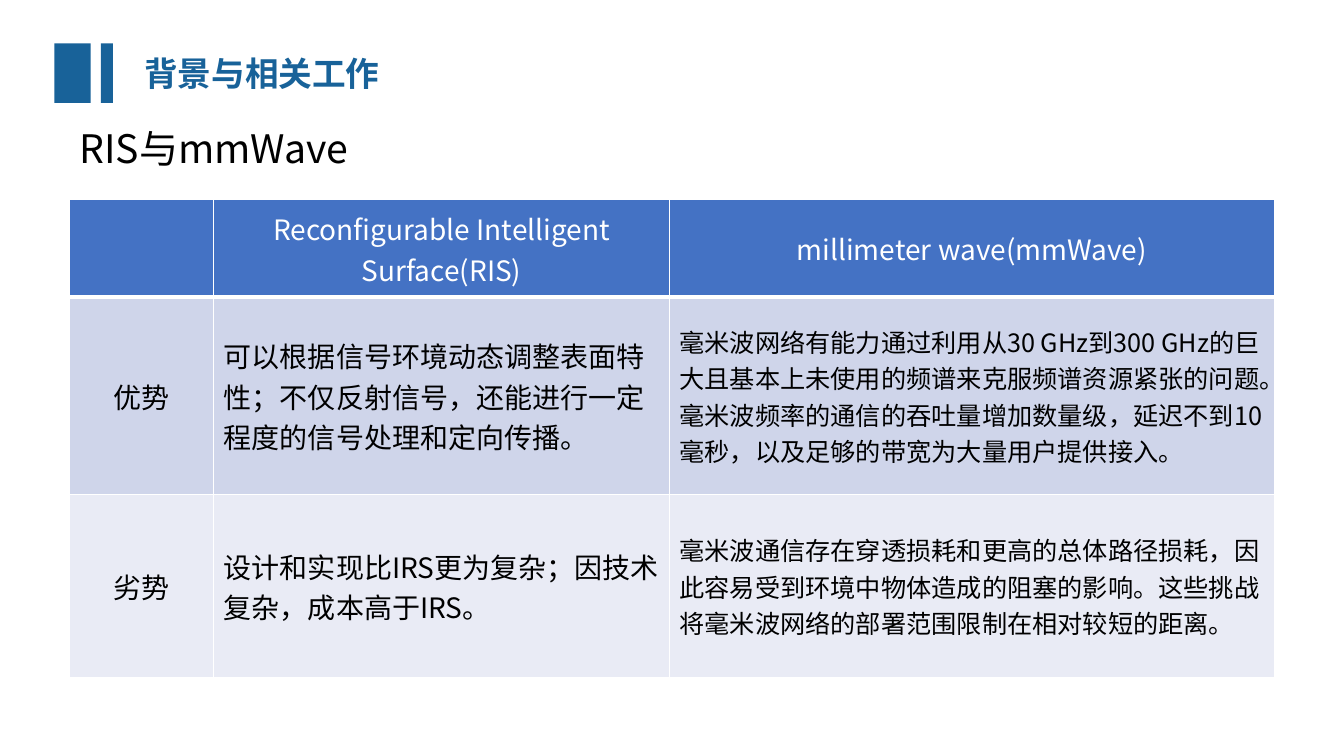
import pptx
import pptx.util
import pptx.dml.color
import pptx.enum.shapes
import pptx.enum.text
import pptx.oxml
import pptx.oxml.ns

PX = 9144
FONT = "Noto Sans CJK SC"
BLUE, BLACK, WHITE = "186299", "000000", "FFFFFF"
ROW_FILLS = ["4472C4", "CFD5EA", "E9EBF5"]
COL_WIDTHS = [143, 452, 600]
ROW_HEIGHTS = [97, 196, 181]
ROWS = [
    [[], ["Reconfigurable Intelligent Surface(RIS)"], ["millimeter wave(mmWave)"]],
    [["优势"],
     ["可以根据信号环境动态调整表面特性；不仅反射信号，还能进行一定程度的信号处理和定向传播。"],
     ["毫米波网络有能力通过利用从30 GHz到300 GHz的巨大且基本上未使用的频谱来克服频谱资源紧张的问题。",
      "毫米波频率的通信的吞吐量增加数量级，延迟不到10毫秒，以及足够的带宽为大量用户提供接入。"]],
    [["劣势"],
     ["设计和实现比IRS更为复杂；因技术复杂，成本高于IRS。"],
     ["毫米波通信存在穿透损耗和更高的总体路径损耗，因此容易受到环境中物体造成的阻塞的影响。这些挑战将毫米波网络的部署范围限制在相对较短的距离。"]],
]


def px(*lengths):
    return [pptx.util.Emu(n * PX) for n in lengths]


def color(value):
    return pptx.dml.color.RGBColor.from_string(value)


def add_run(p, text, size, hex_color, bold=False):
    r = p.add_run()
    r.text = text
    r.font.size = pptx.util.Pt(size)
    r.font.bold = bold
    r.font.name = FONT
    r.font.color.rgb = color(hex_color)
    ea = pptx.oxml.parse_xml(
        f'<a:ea {pptx.oxml.ns.nsdecls("a")} typeface="{FONT}"/>')
    r.font._element.find(pptx.oxml.ns.qn("a:latin")).addnext(ea)


def add_bar(s, left, width):
    sp = s.shapes.add_shape(pptx.enum.shapes.MSO_SHAPE.RECTANGLE, *px(left, 43, width, 59))
    sp.shadow.inherit = False
    sp.fill.solid()
    sp.fill.fore_color.rgb = color(BLUE)
    sp.line.fill.background()


def write_line(sp, text, size, hex_color, bold=False):
    tf = sp.text_frame
    tf.word_wrap = True
    tf.auto_size = pptx.enum.text.MSO_AUTO_SIZE.NONE
    tf.vertical_anchor = pptx.enum.text.MSO_ANCHOR.MIDDLE
    p = tf.paragraphs[0]
    p.alignment = pptx.enum.text.PP_ALIGN.LEFT
    add_run(p, text, size, hex_color, bold)


def add_title(s, text):
    sp = s.shapes.title
    sp.left, sp.top, sp.width, sp.height = px(133, 47, 361, 50)
    write_line(sp, text, 24, BLUE, True)


def add_heading(s, text):
    sp = s.shapes.add_textbox(*px(69, 116, 1215, 62))
    write_line(sp, text, 28, BLACK)


def set_borders(cell, row):
    points = {"L": 1, "R": 1, "T": 3 if row == 1 else 1, "B": 3 if row == 0 else 1}
    tcPr = cell._tc.get_or_add_tcPr()
    for i, (side, width) in enumerate(points.items()):
        tcPr.insert(i, pptx.oxml.parse_xml(
            f'<a:ln{side} {pptx.oxml.ns.nsdecls("a")} w="{pptx.util.Pt(width)}">'
            f'<a:solidFill><a:srgbClr val="{WHITE}"/></a:solidFill></a:ln{side}>'))


def fill_cell(cell, row, col, texts):
    header = row == 0
    cell.fill.solid()
    cell.fill.fore_color.rgb = color(ROW_FILLS[row])
    cell.vertical_anchor = pptx.enum.text.MSO_ANCHOR.MIDDLE
    set_borders(cell, row)
    tf = cell.text_frame
    centred = header or col == 0
    align = pptx.enum.text.PP_ALIGN
    for i, text in enumerate(texts):
        p = tf.add_paragraph() if i else tf.paragraphs[0]
        p.alignment = align.CENTER if centred else align.LEFT
        size = 18 if col == 2 and not header else 20
        add_run(p, text, size, WHITE if header else BLACK)


def add_comparison(s):
    box = px(69, 198, sum(COL_WIDTHS), sum(ROW_HEIGHTS))
    table = s.shapes.add_table(len(ROWS), len(COL_WIDTHS), *box).table
    for column, width in zip(table.columns, px(*COL_WIDTHS)):
        column.width = width
    for row, height in zip(table.rows, px(*ROW_HEIGHTS)):
        row.height = height
    for i, cells in enumerate(ROWS):
        for j, texts in enumerate(cells):
            fill_cell(table.cell(i, j), i, j, texts)


def main():
    prs = pptx.Presentation()
    prs.slide_width, prs.slide_height = px(1333, 750)
    s = prs.slides.add_slide(prs.slide_layouts[5])
    add_bar(s, 54, 36)
    add_bar(s, 100, 12)
    add_title(s, "背景与相关工作")
    add_heading(s, "RIS与mmWave")
    add_comparison(s)
    prs.save("out.pptx")


if __name__ == "__main__":
    main()
